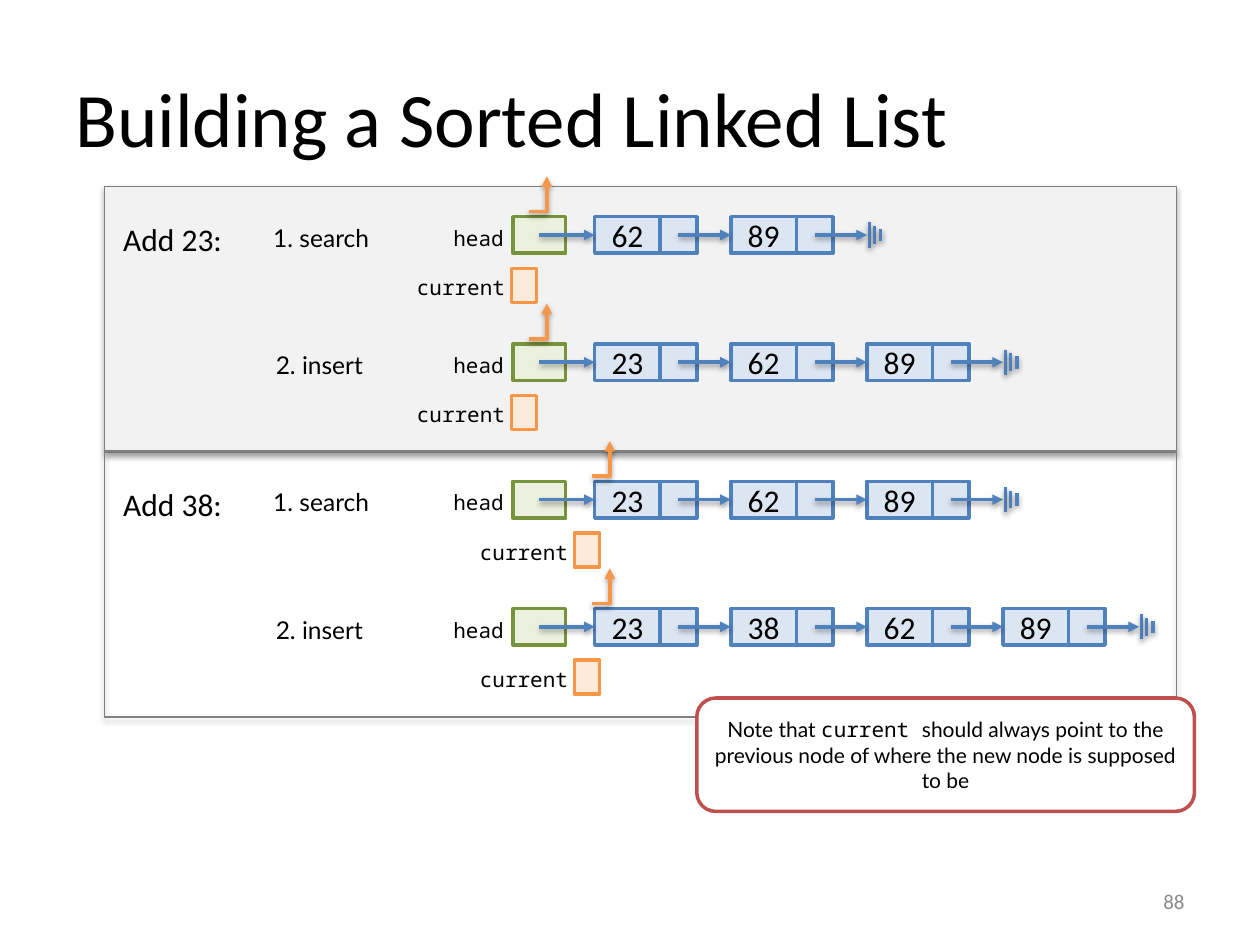
from lxml import etree
from pptx import Presentation
from pptx import util as u
from pptx.dml.color import RGBColor
from pptx.enum import shapes, text
from pptx.oxml.ns import qn

PX = 9144  # 100 px to the inch
SANS, LABEL, MONO = "Calibri", "Lato", "Noto Sans Mono"
BLACK, GREY, BLUE, ORANGE = "000000", "8B8B8B", "4F81BD", "F79646"

TITLE = "Building a Sorted Linked List"
PAGE_NUMBER = "88"
# heading, panel fill, x of the current box, nodes for each step
PANELS = [
    ("Add 23:", "F2F2F2", 406, [("1. search", [62, 89]), ("2. insert", [23, 62, 89])]),
    ("Add 38:", None, 456, [("1. search", [23, 62, 89]), ("2. insert", [23, 38, 62, 89])]),
]
NOTE = [
    ("Note that ", LABEL),
    ("current ", MONO),
    ("should always point to the previous node of where the new node is supposed to be", LABEL),
]

PANEL_X, PANEL_Y, PANEL_W, PANEL_H = 83, 148, 851, 211
PANEL_STEP, STEP_OFFSET, STEP_GAP = 210, 24, 101
HEAD_X, HEAD_W, BOX_H = 407, 42, 29
NODE_X, NODE_STEP, DATA_W, LINK_W = 472, 108, 52, 29
GROUND = [(2, 20), (6, 14), (11, 10)]  # x offset and height of each bar

prs = Presentation()
prs.slide_width, prs.slide_height = 1000 * PX, 750 * PX
slide = prs.slides.add_slide(prs.slide_layouts[6])


def emu(*lengths):
    return [round(length * PX) for length in lengths]


def rgb(value):
    return RGBColor.from_string(value)


def write(frame, runs, size, color=BLACK, align=text.PP_ALIGN.LEFT,
          anchor=text.MSO_ANCHOR.TOP, wrap=True):
    """Fill a text frame with one paragraph of (words, font) runs."""
    frame.word_wrap = wrap
    frame.vertical_anchor = anchor
    paragraph = frame.paragraphs[0]
    paragraph.alignment = align
    for words, font in runs:
        run = paragraph.add_run()
        run.text = words
        run.font.name, run.font.size = font, u.Pt(size)
        run.font.color.rgb = rgb(color)


def label(x, y, w, h, words, font, size, **style):
    box = slide.shapes.add_textbox(*emu(x, y, w, h))
    write(box.text_frame, [(words, font)], size, **style)


def box(x, y, w, h, fill, line, weight=2, kind=shapes.MSO_SHAPE.RECTANGLE):
    shape = slide.shapes.add_shape(kind, *emu(x, y, w, h))
    shape.shadow.inherit = False
    if fill:
        shape.fill.solid()
        shape.fill.fore_color.rgb = rgb(fill)
    else:
        shape.fill.background()
    shape.line.color.rgb = rgb(line)
    shape.line.width = u.Pt(weight)
    return shape


def add_shadow(shape, opacity, distance):
    """Drop a soft black shadow straight down; distance in points."""
    properties = shape._element.spPr
    effects = properties.find(qn("a:effectLst"))
    if effects is None:
        effects = etree.SubElement(properties, qn("a:effectLst"))
    outer = etree.SubElement(effects, qn("a:outerShdw"), blurRad="40000",
                             dist=str(u.Pt(distance)), dir="5400000", rotWithShape="0")
    black = etree.SubElement(outer, qn("a:srgbClr"), val=BLACK)
    etree.SubElement(black, qn("a:alpha"), val=str(opacity * 1000))


def line(x1, y1, x2, y2, color=BLUE, arrow=True, bent=False):
    kind = shapes.MSO_CONNECTOR.ELBOW if bent else shapes.MSO_CONNECTOR.STRAIGHT
    connector = slide.shapes.add_connector(kind, *emu(x1, y1, x2, y2))
    if bent:  # a single corner
        connector._element.spPr.find(qn("a:prstGeom")).set("prst", "bentConnector2")
    connector.line.color.rgb = rgb(color)
    connector.line.width = u.Pt(2)
    if arrow:
        etree.SubElement(connector.line._get_or_add_ln(), qn("a:tailEnd"), type="triangle")
    add_shadow(connector, 38, 1.6)
    return connector


def draw_list(y, values):
    """Draw the head box, the chain of nodes and the ground sign that ends it."""
    middle = y + BOX_H / 2
    box(HEAD_X, y, HEAD_W, BOX_H, "EBF1DE", "77933C")
    start = HEAD_X + HEAD_W / 2
    for i, value in enumerate(values):
        x = NODE_X + i * NODE_STEP
        data = box(x, y, DATA_W, BOX_H, "DCE6F2", BLUE)
        write(data.text_frame, [(str(value), SANS)], 18,
              align=text.PP_ALIGN.CENTER, anchor=text.MSO_ANCHOR.MIDDLE)
        box(x + DATA_W, y, LINK_W, BOX_H, "DCE6F2", BLUE)
        line(start, middle, x, middle).end_connect(data, 1)
        start = x + DATA_W + LINK_W / 2
    end = NODE_X + len(values) * NODE_STEP
    line(start, middle, end, middle)
    for offset, height in GROUND:
        line(end + offset, middle - height / 2, end + offset, middle + height / 2, arrow=False)


def draw_current(x, y):
    """Draw the current box below a list and its arrow above the list."""
    box(x, y + 41, 20, 27, "FDEADA", ORANGE)
    label(x - 85, y + 41, 105, 30, "current", MONO, 12)
    line(x + 14, y - 4, x + 28, y - 32, ORANGE, bent=True)


label(50, 30, 900, 125, TITLE, SANS, 44, anchor=text.MSO_ANCHOR.MIDDLE)

for row, (heading, fill, current_x, steps) in enumerate(PANELS):
    top = PANEL_Y + row * PANEL_STEP
    panel = box(PANEL_X, top, PANEL_W, PANEL_H, fill, "808080", 0.75)
    add_shadow(panel, 35, 1.8)
    label(88, top + 22, 116, 40, heading, SANS, 18)
    for step, (name, values) in enumerate(steps):
        y = top + STEP_OFFSET + step * STEP_GAP
        label(207 + 2 * step, y, 109, 33, name, LABEL, 14)
        label(350, y + 2, 60, 30, "head", MONO, 12, wrap=False)
        draw_list(y, values)
        draw_current(current_x, y)

note = box(553, 554, 395, 90, "FFFFFF", "C0504D", kind=shapes.MSO_SHAPE.ROUNDED_RECTANGLE)
write(note.text_frame, NOTE, 12, align=text.PP_ALIGN.CENTER, anchor=text.MSO_ANCHOR.MIDDLE)

label(717, 695, 233, 40, PAGE_NUMBER, SANS, 12, color=GREY,
      align=text.PP_ALIGN.RIGHT, anchor=text.MSO_ANCHOR.MIDDLE)

prs.save("out.pptx")
